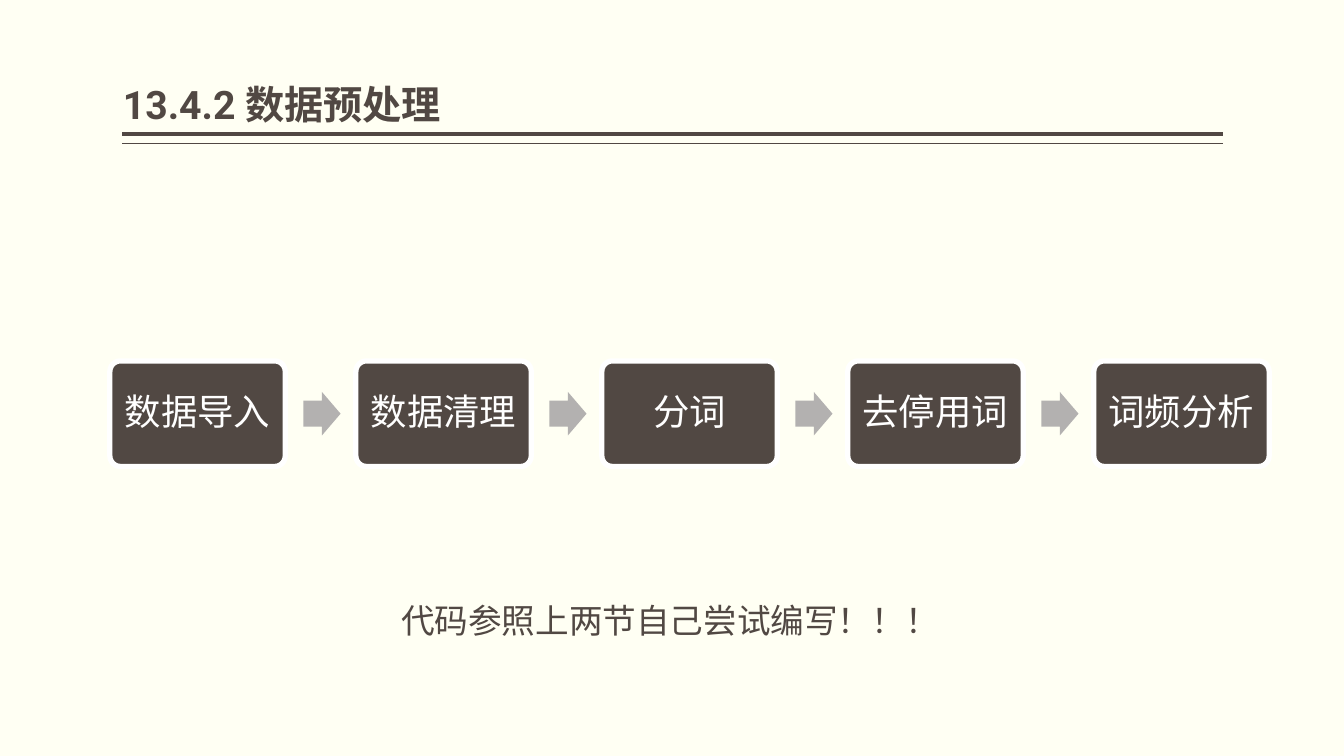
from lxml import etree
from pptx import Presentation
from pptx.dml.color import RGBColor
from pptx.enum import shapes, text
from pptx.oxml import ns
from pptx.util import Pt

COLORS = {"paper": "FFFFF3", "brown": "514843", "gray": "B3B1B0", "white": "FFFFFF"}
STEPS = ["数据导入", "数据清理", "分词", "去停用词", "词频分析"]
STEP_LEFT, STEP_TOP, STEP_WIDTH, STEP_HEIGHT = 78.5, 257.8, 125.3, 75.4
STEP_PITCH = 175.7
ARROW_OFFSET, ARROW_WIDTH, ARROW_HEIGHT = 138.2, 26.6, 31


def color(name):
    return RGBColor.from_string(COLORS[name])


def write(shape, content, frame_format, para_format, font_format, font_color):
    frame = shape.text_frame
    para = frame.paragraphs[0]
    span = para.add_run()
    span.text = content
    for target, values in ((frame, frame_format), (para, para_format), (span.font, font_format)):
        for name, value in values.items():
            setattr(target, name, value)
    span.font.color.rgb = color(font_color)


def add_label(slide, bounds, *text_args):
    box = slide.shapes.add_textbox(*map(Pt, bounds))
    write(box, *text_args)


def add_rule(slide, top, width):
    line = slide.shapes.add_connector(
        shapes.MSO_CONNECTOR.STRAIGHT, Pt(873.5), Pt(top), Pt(87.1), Pt(top))
    line.line.color.rgb = color("brown")
    line.line.width = Pt(width)
    etree.SubElement(line._element.spPr, ns.qn("a:effectLst"))


def add_block(slide, kind, bounds, fill, adjustments):
    """Add a filled preset shape without shadow or outline."""
    block = slide.shapes.add_shape(kind, *map(Pt, bounds))
    block.shadow.inherit = False
    block.fill.solid()
    block.fill.fore_color.rgb = color(fill)
    block.line.fill.background()
    for index, value in enumerate(adjustments):
        block.adjustments[index] = value
    return block


def add_step(slide, left, label):
    box = add_block(slide, shapes.MSO_SHAPE.ROUNDED_RECTANGLE,
                    (left, STEP_TOP, STEP_WIDTH, STEP_HEIGHT), "brown", [0.1])
    box.line.color.rgb = color("white")
    box.line.width = Pt(3.78)
    margins = {f"margin_{side}": Pt(8) for side in ("left", "right", "top", "bottom")}
    write(box, label,
          {"word_wrap": True, "vertical_anchor": text.MSO_ANCHOR.MIDDLE, **margins},
          {"alignment": text.PP_ALIGN.CENTER, "line_spacing": 0.9},
          {"name": "Calibri", "size": Pt(26)}, "white")


def add_arrow(slide, left):
    top = STEP_TOP + (STEP_HEIGHT - ARROW_HEIGHT) / 2
    add_block(slide, shapes.MSO_SHAPE.RIGHT_ARROW,
              (left, top, ARROW_WIDTH, ARROW_HEIGHT), "gray", [0.6, 0.5])


def main():
    deck = Presentation()
    deck.slide_width, deck.slide_height = Pt(960), Pt(540)
    slide = deck.slides.add_slide(deck.slide_layouts[6])
    slide.background.fill.solid()
    slide.background.fill.fore_color.rgb = color("paper")

    add_rule(slide, 95.6, 3)
    add_rule(slide, 102.6, 1)
    add_label(slide, (87.8, 8.6, 786.2, 86.4), "13.4.2 数据预处理",
              {"word_wrap": True, "vertical_anchor": text.MSO_ANCHOR.BOTTOM,
               "margin_left": 0, "margin_right": 0},
              {"line_spacing": 0.9},
              {"name": "Roboto", "size": Pt(28), "bold": True}, "brown")

    for index, label in enumerate(STEPS):
        left = STEP_LEFT + index * STEP_PITCH
        add_step(slide, left, label)
        if index < len(STEPS) - 1:
            add_arrow(slide, left + ARROW_OFFSET)

    add_label(slide, (279.4, 424.8, 402.5, 36), "代码参照上两节自己尝试编写！！！",
              {"word_wrap": True, "auto_size": text.MSO_AUTO_SIZE.SHAPE_TO_FIT_TEXT}, {},
              {"name": "Calibri", "size": Pt(24)}, "brown")
    deck.save("out.pptx")


if __name__ == "__main__":
    main()
